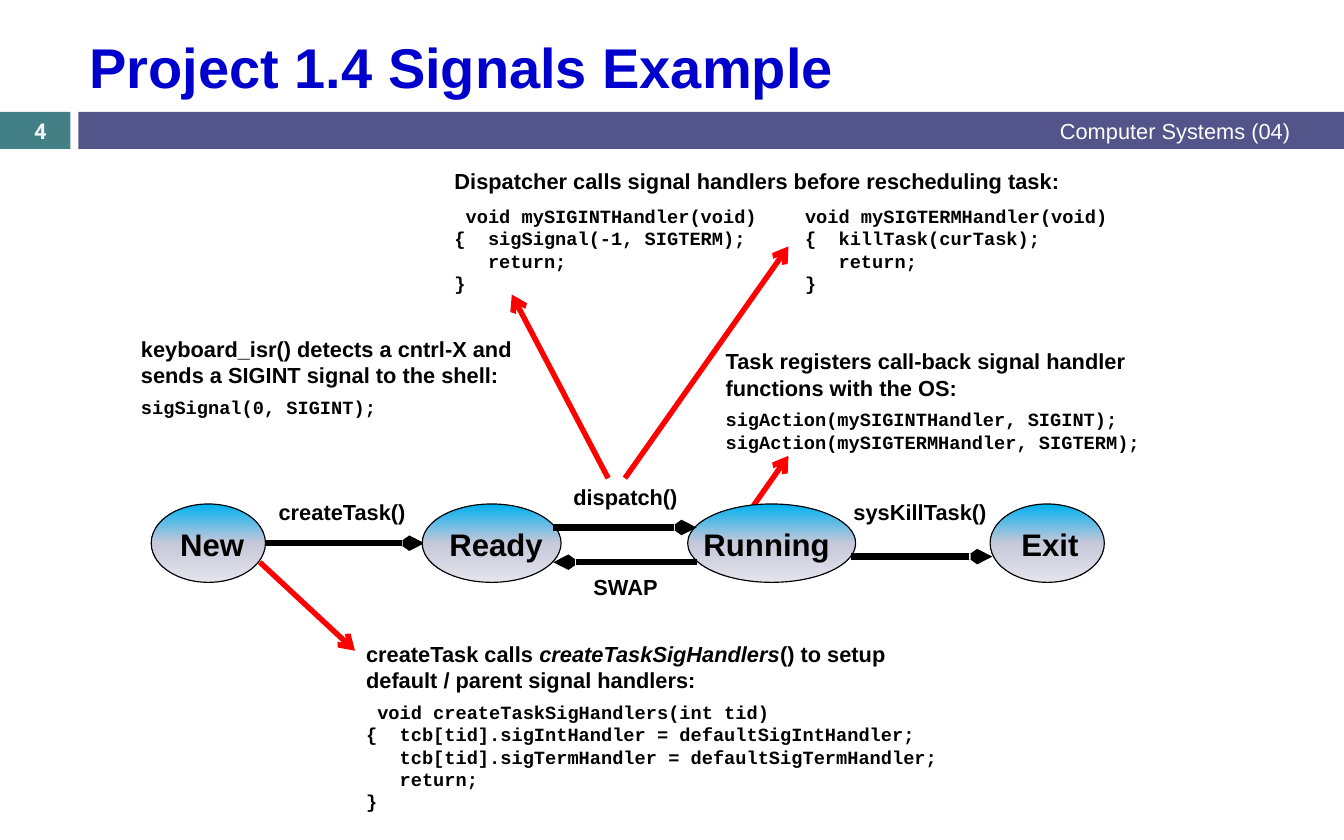
from lxml.etree import SubElement
from pptx import Presentation
from pptx.dml.color import RGBColor
from pptx.enum.shapes import MSO_CONNECTOR, MSO_SHAPE
from pptx.enum.text import MSO_ANCHOR as Anchor, PP_ALIGN as Align
from pptx.oxml.ns import qn
from pptx.util import Inches, Pt

CELL = Inches(0.1)
COLUMNS, ROWS = 120, 75

BLACK = RGBColor(0, 0, 0)
WHITE = RGBColor(255, 255, 255)
RED = RGBColor(255, 0, 0)
TITLE_BLUE = RGBColor(0, 0, 0xCC)
TEAL = RGBColor(0x43, 0x80, 0x86)
INDIGO = RGBColor(0x53, 0x54, 0x8A)
PALE = RGBColor(0xF2, 0xF2, 0xF2)
SKY = RGBColor(0, 0xB0, 0xF0)
LAVENDER = RGBColor(0xC7, 0xC8, 0xD9)
MIST = RGBColor(0xE4, 0xE4, 0xEC)

BAR_TOP, BAR_HEIGHT = 10, 3.3
NODE_TOP, NODE_HEIGHT = 45, 7
NODE_MIDDLE = NODE_TOP + NODE_HEIGHT / 2
LABEL_WIDTH, LABEL_HEIGHT = 16.1, 3.4
CODE_TAB = Inches(3.13)


def cells(*values):
    return [round(value * CELL) for value in values]


def write_text(paragraph, text, size=14, font="Arial", color=BLACK,
               bold=True, italic=False, align=Align.LEFT):
    paragraph.alignment = align
    run = paragraph.add_run()
    run.text = text
    run.font.size = Pt(size)
    run.font.name = font
    run.font.color.rgb = color
    run.font.bold = bold
    run.font.italic = italic


def add_frame(slide, box, anchor=Anchor.TOP):
    frame = slide.shapes.add_textbox(*cells(*box)).text_frame
    frame.word_wrap = True
    frame.vertical_anchor = anchor
    return frame


def add_label(slide, box, text, anchor=Anchor.TOP, align=Align.CENTER, **text_format):
    frame = add_frame(slide, box, anchor)
    write_text(frame.paragraphs[0], text, align=align, **text_format)


def add_tab_stop(paragraph, position):
    stops = SubElement(paragraph._p.get_or_add_pPr(), qn("a:tabLst"))
    SubElement(stops, qn("a:tab"), pos=str(position), algn="l")


def add_note(slide, box, headings, code):
    frame = add_frame(slide, box)
    lines = [(heading, {}) for heading in headings]
    lines += [((line,), {"font": "Courier New", "size": 12}) for line in code]
    for index, (segments, text_format) in enumerate(lines):
        paragraph = frame.add_paragraph() if index else frame.paragraphs[0]
        if headings and index == len(headings):
            paragraph.space_before = Pt(5)
        for position, segment in enumerate(segments):
            write_text(paragraph, segment, italic=position % 2 == 1, **text_format)
        if "\t" in segments[0]:
            add_tab_stop(paragraph, CODE_TAB)


def add_bar(slide, left, width, color):
    bar = slide.shapes.add_shape(
        MSO_SHAPE.RECTANGLE, *cells(left, BAR_TOP, width, BAR_HEIGHT))
    bar.shadow.inherit = False
    bar.fill.solid()
    bar.fill.fore_color.rgb = color
    bar.line.fill.background()


def fill_gradient(shape, colors):
    shape.fill.gradient()
    shape.fill.gradient_angle = 270
    stops = shape._element.spPr.find(qn("a:gradFill")).find(qn("a:gsLst"))
    for stop in list(stops):
        stops.remove(stop)
    for index, color in enumerate(colors):
        position = 100000 * index // (len(colors) - 1)
        stop = SubElement(stops, qn("a:gs"), pos=str(position))
        SubElement(stop, qn("a:srgbClr"), val=str(color))


def add_node(slide, left, width, text, label_left, label_width):
    node = slide.shapes.add_shape(
        MSO_SHAPE.OVAL, *cells(left, NODE_TOP, width, NODE_HEIGHT))
    node.shadow.inherit = False
    fill_gradient(node, (SKY, LAVENDER, MIST))
    node.line.color.rgb = BLACK
    node.line.width = Pt(0.75)
    add_label(slide, (label_left, 46.4, label_width, 4.4), text, size=20)


def add_arrow(slide, start, end, color, width, head_width):
    arrow = slide.shapes.add_connector(MSO_CONNECTOR.STRAIGHT, *cells(*start, *end))
    arrow.line.color.rgb = color
    arrow.line.width = Pt(width)
    SubElement(arrow.line._get_or_add_ln(), qn("a:tailEnd"),
               type="arrow", w=head_width, len="med")
    SubElement(arrow._element.spPr, qn("a:effectLst"))


def add_pointer(slide, start, end):
    add_arrow(slide, start, end, RED, 3.5, "med")


def add_transition(slide, left, right, height):
    add_arrow(slide, (left, height), (right, height), BLACK, 4, "sm")


def add_header(slide):
    add_bar(slide, 0, 6.3, TEAL)
    add_bar(slide, 7, COLUMNS - 7, INDIGO)
    add_label(slide, (0, 10.2, 7.2, 3), "4", anchor=Anchor.MIDDLE,
              font="Roboto", color=PALE)
    add_label(slide, (61.7, BAR_TOP, 54.5, BAR_HEIGHT), "Computer Systems (04)",
              anchor=Anchor.MIDDLE, align=Align.RIGHT, color=WHITE, bold=False)
    title = slide.shapes.title
    title.left, title.top, title.width, title.height = cells(7, 1.9, 109.1, 8)
    title.text_frame.vertical_anchor = Anchor.MIDDLE
    write_text(title.text_frame.paragraphs[0], "Project 1.4 Signals Example",
               size=36, color=TITLE_BLUE)


def add_notes(slide):
    add_note(slide, (39.6, 14.5, 61.7, 3.4),
             [("Dispatcher calls signal handlers before rescheduling task:",)], [])
    add_note(slide, (39.6, 17.8, 61.7, 9.1), [], [
        " void mySIGINTHandler(void)\tvoid mySIGTERMHandler(void)",
        "{  sigSignal(-1, SIGTERM);\t{  killTask(curTask);",
        "   return;\t   return;",
        "}\t}"])
    add_note(slide, (11.6, 29.5, 36.1, 8.4),
             [("keyboard_isr() detects a cntrl-X and sends a SIGINT signal to the shell:",)],
             ["sigSignal(0, SIGINT);"])
    add_note(slide, (63.8, 30.6, 39.8, 10.4),
             [("Task registers call-back signal handler functions with the OS:",)],
             ["sigAction(mySIGINTHandler, SIGINT);",
              "sigAction(mySIGTERMHandler, SIGTERM);"])
    add_note(slide, (31.7, 56.7, 57.1, 16.5),
             [("createTask calls ", "createTaskSigHandlers", "() to setup"),
              ("default / parent signal handlers:",)],
             [" void createTaskSigHandlers(int tid)",
              "{  tcb[tid].sigIntHandler = defaultSigIntHandler;",
              "   tcb[tid].sigTermHandler = defaultSigTermHandler;",
              "   return;",
              "}"])


def add_state_diagram(slide):
    for start, end in (((66.4, 46.4), (70.4, 40.7)),
                       ((23.2, 50.2), (31.7, 58.1)),
                       ((55.8, 42.7), (70.4, 22)),
                       ((54.3, 42.7), (45.7, 26.3))):
        add_pointer(slide, start, end)
    add_transition(slide, 23.2, 37.9, NODE_MIDDLE)
    for node in ((13.5, 10.2, "New", 13.6, 10.7),
                 (37.7, 12.4, "Ready", 37.8, 13),
                 (61.4, 15, "Running", 61.5, 13.9),
                 (88.4, 10.2, "Exit", 88.4, 10.7)):
        add_node(slide, *node)
    for left, right, height in ((49.4, 62.2, 47.1),
                                (62.2, 49.4, 50.2),
                                (76, 88.6, 49.7)):
        add_transition(slide, left, right, height)
    for left, top, text in ((22.5, 44, "createTask()"),
                            (47.8, 42.7, "dispatch()"),
                            (47.8, 50.7, "SWAP"),
                            (74.1, 44, "sysKillTask()")):
        add_label(slide, (left, top, LABEL_WIDTH, LABEL_HEIGHT), text)


def main():
    presentation = Presentation()
    presentation.slide_width = COLUMNS * CELL
    presentation.slide_height = ROWS * CELL
    slide = presentation.slides.add_slide(presentation.slide_layouts[5])
    add_header(slide)
    add_notes(slide)
    add_state_diagram(slide)
    presentation.save("out.pptx")


if __name__ == "__main__":
    main()
